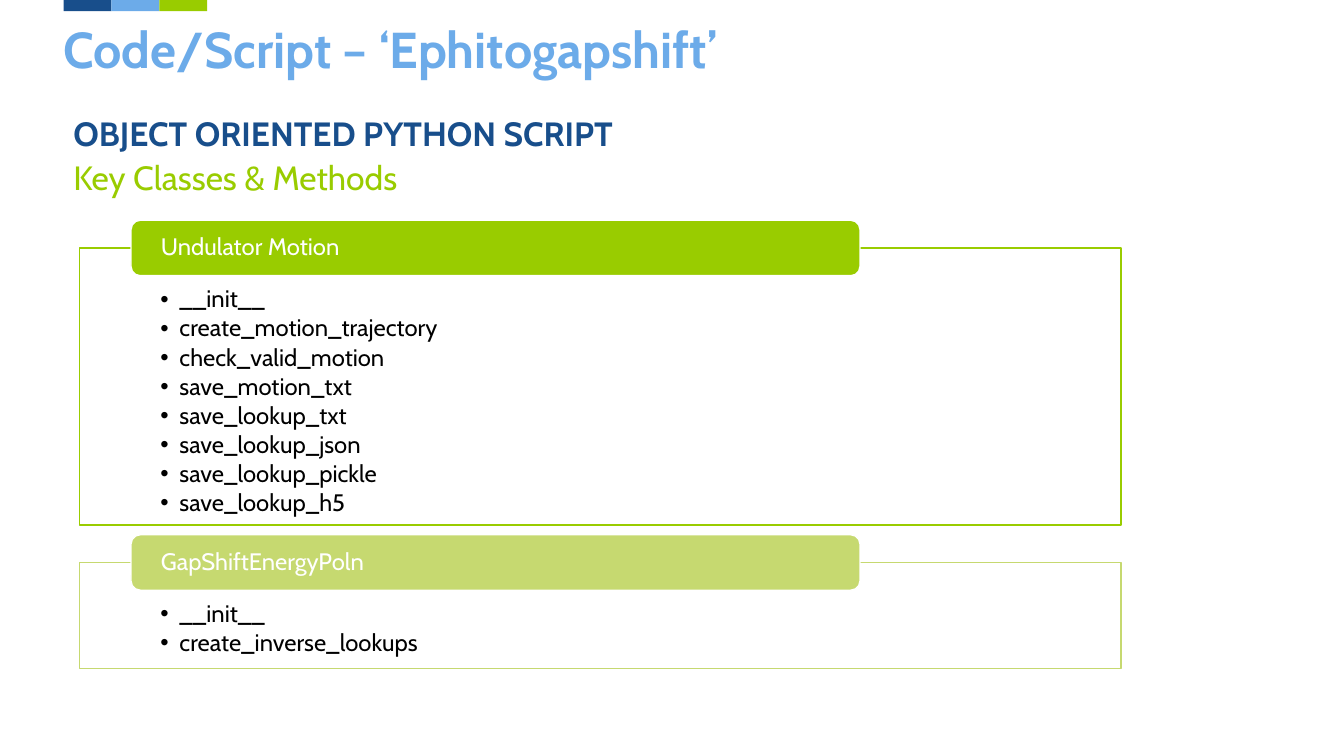
from dataclasses import dataclass

from lxml import etree
from pptx import Presentation
from pptx.dml.color import RGBColor
from pptx.enum.shapes import MSO_SHAPE
from pptx.enum.text import MSO_ANCHOR, MSO_AUTO_SIZE, PP_ALIGN
from pptx.oxml.ns import qn
from pptx.shapes.autoshape import Shape
from pptx.slide import Slide
from pptx.text.text import TextFrame, _Paragraph
from pptx.util import Inches, Pt

RECTANGLE = MSO_SHAPE.RECTANGLE
ROUNDED = MSO_SHAPE.ROUNDED_RECTANGLE
TOP = MSO_ANCHOR.TOP
MIDDLE = MSO_ANCHOR.MIDDLE
LEFT = PP_ALIGN.LEFT
NO_AUTOFIT = MSO_AUTO_SIZE.NONE

NAVY = RGBColor(0x18, 0x4E, 0x8B)
SKY = RGBColor(0x6C, 0xAB, 0xE9)
GREEN = RGBColor(0x99, 0xCC, 0x00)
PALE_GREEN = RGBColor(0xC6, 0xD9, 0x70)
WHITE = RGBColor(0xFF, 0xFF, 0xFF)
BLACK = RGBColor(0x00, 0x00, 0x00)

FONT = "Cabin"
MARGIN = 0.63
CONTENT_WIDTH = 12.07
STRIPE_WIDTH = 0.475
LABEL_RISE = 0.275


@dataclass(frozen=True)
class ClassPanel:
    name: str
    methods: tuple[str, ...]
    color: RGBColor
    top: float
    height: float


PANELS = (
    ClassPanel(
        "Undulator Motion",
        (
            "__init__",
            "create_motion_trajectory",
            "check_valid_motion",
            "save_motion_txt",
            "save_lookup_txt",
            "save_lookup_json",
            "save_lookup_pickle",
            "save_lookup_h5",
        ),
        GREEN,
        2.46,
        2.75,
    ),
    ClassPanel(
        "GapShiftEnergyPoln",
        ("__init__", "create_inverse_lookups"),
        PALE_GREEN,
        5.58,
        1.05,
    ),
)


def style_paragraph(
    paragraph: _Paragraph,
    size: float,
    color: RGBColor,
    bold: bool = False,
    before: float = 0,
    after: float = 0,
) -> None:
    paragraph.alignment = LEFT
    paragraph.line_spacing = 0.9
    paragraph.space_before = Pt(before)
    paragraph.space_after = Pt(after)
    for run in paragraph.runs:
        run.font.name = FONT
        run.font.size = Pt(size)
        run.font.bold = bold
        run.font.color.rgb = color


def set_frame(frame: TextFrame, anchor: MSO_ANCHOR, side: float, top: float, bottom: float) -> None:
    frame.word_wrap = True
    frame.auto_size = NO_AUTOFIT
    frame.vertical_anchor = anchor
    frame.margin_left = frame.margin_right = Inches(side)
    frame.margin_top = Inches(top)
    frame.margin_bottom = Inches(bottom)


def add_bullet(paragraph: _Paragraph) -> None:
    properties = paragraph._p.get_or_add_pPr()
    properties.set("marL", str(Inches(0.19)))
    properties.set("indent", str(-Inches(0.19)))
    etree.SubElement(properties, qn("a:buFont")).set("typeface", "Arial")
    etree.SubElement(properties, qn("a:buChar")).set("char", "•")


def add_block(
    slide: Slide,
    kind: MSO_SHAPE,
    left: float,
    top: float,
    width: float,
    height: float,
    fill: RGBColor,
    line: RGBColor | None = None,
) -> Shape:
    block = slide.shapes.add_shape(kind, Inches(left), Inches(top), Inches(width), Inches(height))
    block.shadow.inherit = False
    block.fill.solid()
    block.fill.fore_color.rgb = fill
    if line is None:
        block.line.fill.background()
    else:
        block.line.color.rgb = line
        block.line.width = Pt(1)
    return block


def add_panel(slide: Slide, panel: ClassPanel) -> None:
    outline = add_block(slide, RECTANGLE, 0.79, panel.top, 10.33, panel.height, WHITE, panel.color)
    fill_color = outline._element.spPr.find(qn("a:solidFill"))[0]
    etree.SubElement(fill_color, qn("a:alpha")).set("val", "90000")
    set_frame(outline.text_frame, TOP, 0.8, 0.39, 0.13)
    outline.text_frame.text = "\n".join(panel.methods)
    for method in outline.text_frame.paragraphs:
        style_paragraph(method, 17, BLACK, after=2.4)
        add_bullet(method)

    label = add_block(slide, ROUNDED, 1.3, panel.top - LABEL_RISE, 7.23, 2 * LABEL_RISE, panel.color, WHITE)
    set_frame(label.text_frame, MIDDLE, 0.27, 0, 0)
    label.text_frame.text = panel.name
    style_paragraph(label.text_frame.paragraphs[0], 17, WHITE)


def add_headings(slide: Slide) -> None:
    title = slide.shapes.title
    title.left, title.top = Inches(MARGIN), Inches(0.11)
    title.width, title.height = Inches(CONTENT_WIDTH), Inches(0.81)
    set_frame(title.text_frame, MIDDLE, 0, 0, 0)
    title.text_frame.text = "Code/Script – ‘Ephitogapshift’"
    style_paragraph(title.text_frame.paragraphs[0], 36, SKY, bold=True)

    summary = slide.shapes.add_textbox(Inches(MARGIN), Inches(1.12), Inches(CONTENT_WIDTH), Inches(1))
    set_frame(summary.text_frame, TOP, 0.1, 0.05, 0.05)
    summary.text_frame.text = "OBJECT ORIENTED PYTHON SCRIPT\nKey Classes & Methods"
    heading, subheading = summary.text_frame.paragraphs
    style_paragraph(heading, 24, NAVY, bold=True, before=10)
    style_paragraph(subheading, 24, GREEN, before=5)


def main() -> None:
    presentation = Presentation()
    presentation.slide_width = Inches(13.33)
    presentation.slide_height = Inches(7.5)
    slide = presentation.slides.add_slide(presentation.slide_layouts[5])
    for position, color in enumerate((NAVY, SKY, GREEN)):
        add_block(slide, RECTANGLE, MARGIN + position * STRIPE_WIDTH, 0, STRIPE_WIDTH, 0.11, color)
    add_headings(slide)
    for panel in PANELS:
        add_panel(slide, panel)
    presentation.save("out.pptx")


if __name__ == "__main__":
    main()
